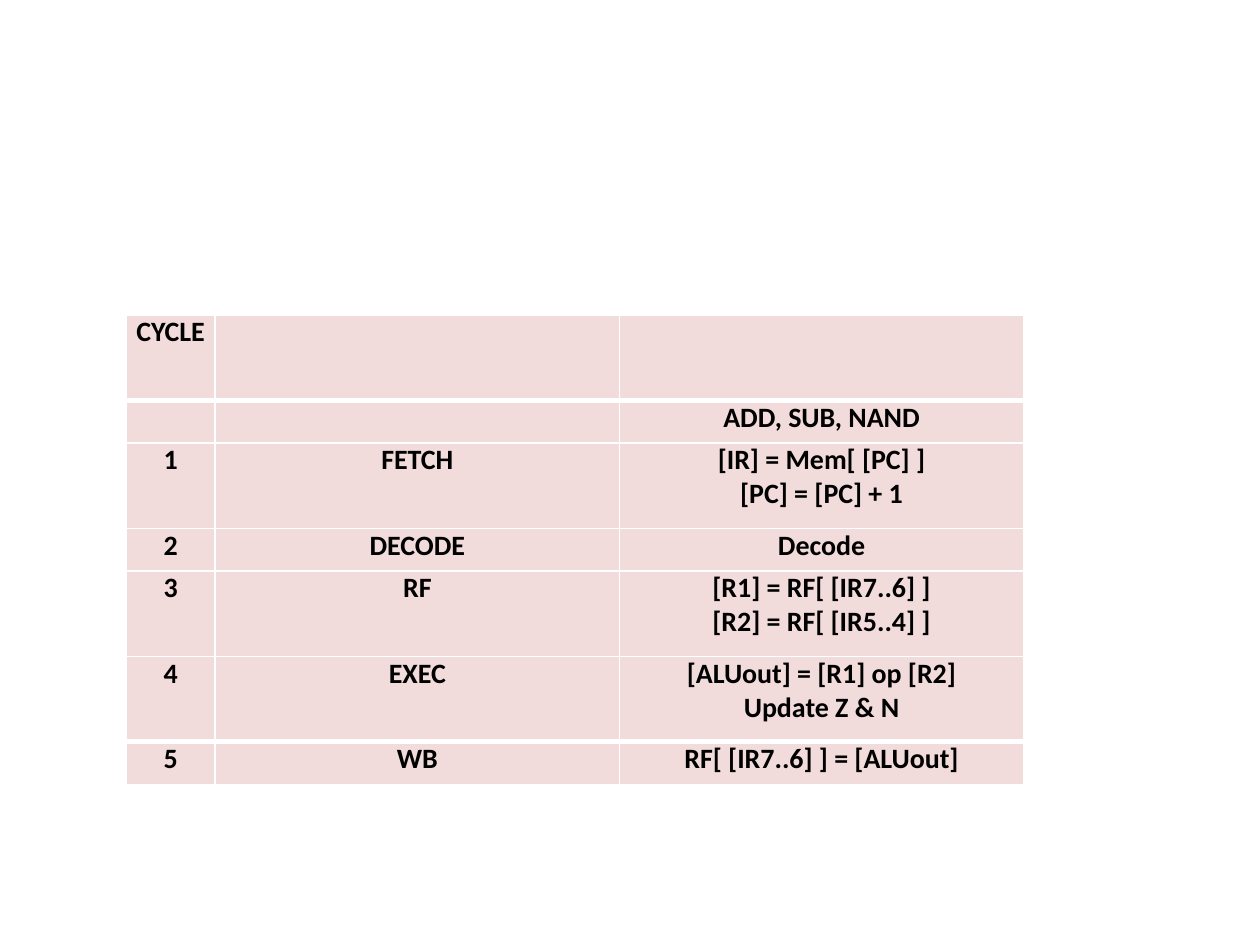
from lxml import etree
from pptx import Presentation
from pptx import util as u
from pptx.dml.color import RGBColor
from pptx.enum import text
from pptx.oxml.ns import qn

COLORS = {"cell": "F2DCDB", "border": "FFFFFF", "text": "000000"}
COL_WIDTHS = [51, 231, 231]
LINE_ROW = 24.4
THIN, THICK = 1, 3

# Height in single-line units, then the text of each cell
CYCLES = [
    (2, ["CYCLE", "", ""]),
    (1, ["", "", "ADD, SUB, NAND"]),
    (2, ["1", "FETCH", "[IR] = Mem[ [PC] ]\n[PC] = [PC] + 1"]),
    (1, ["2", "DECODE", "Decode"]),
    (2, ["3", "RF", "[R1] = RF[ [IR7..6] ]\n[R2] = RF[ [IR5..4] ]"]),
    (2, ["4", "EXEC", "[ALUout] = [R1] op [R2]\nUpdate Z & N"]),
    (1, ["5", "WB", "RF[ [IR7..6] ] = [ALUout]"]),
]


class Deck:
    """Holds the text style and the current slide."""

    font, size = "Calibri", 16

    def __init__(self, prs):
        self.s = prs.slides.add_slide(prs.slide_layouts[6])

    def borders(self, cell, top, bottom):
        tc_pr = cell._tc.get_or_add_tcPr()
        sides = {"lnL": THIN, "lnR": THIN, "lnT": top, "lnB": bottom}
        for side, width in sides.items():
            ln = etree.SubElement(tc_pr, qn(f"a:{side}"), w=str(u.Pt(width)))
            fill = etree.SubElement(ln, qn("a:solidFill"))
            etree.SubElement(fill, qn("a:srgbClr"), val=COLORS["border"])

    def cell(self, cell, content, top, bottom):
        self.borders(cell, top, bottom)
        cell.fill.solid()
        cell.fill.fore_color.rgb = RGBColor.from_string(COLORS["cell"])
        cell.margin_left = cell.margin_right = u.Pt(5)
        cell.margin_top = cell.margin_bottom = 0
        if not content:
            return
        tf = cell.text_frame
        for i, line in enumerate(content.split("\n")):
            p = tf.add_paragraph() if i else tf.paragraphs[0]
            p.alignment = text.PP_ALIGN.CENTER
            r = p.add_run()
            r.text = line
            r.font.name, r.font.size, r.font.bold = self.font, u.Pt(self.size), True
            r.font.color.rgb = RGBColor.from_string(COLORS["text"])

    def table(self, left, top, widths, rows, thick_after):
        """Draw rows of (units, texts), with thick rules below the rows in thick_after."""
        height = LINE_ROW * sum(units for units, _ in rows)
        frame = self.s.shapes.add_table(len(rows), len(widths), u.Pt(left), u.Pt(top),
                                        u.Pt(sum(widths)), u.Pt(height))
        tbl = frame.table
        for col, width in zip(tbl.columns, widths):
            col.width = u.Pt(width)
        for i, (units, texts) in enumerate(rows):
            tbl.rows[i].height = u.Pt(units * LINE_ROW)
            above = THICK if i - 1 in thick_after else THIN
            below = THICK if i in thick_after else THIN
            for j, content in enumerate(texts):
                self.cell(tbl.cell(i, j), content, above, below)


def main():
    prs = Presentation()
    prs.slide_width, prs.slide_height = u.Pt(720), u.Pt(540)
    deck = Deck(prs)
    deck.table(72, 180, COL_WIDTHS, CYCLES, thick_after={0, len(CYCLES) - 2})
    prs.save("out.pptx")


if __name__ == "__main__":
    main()
